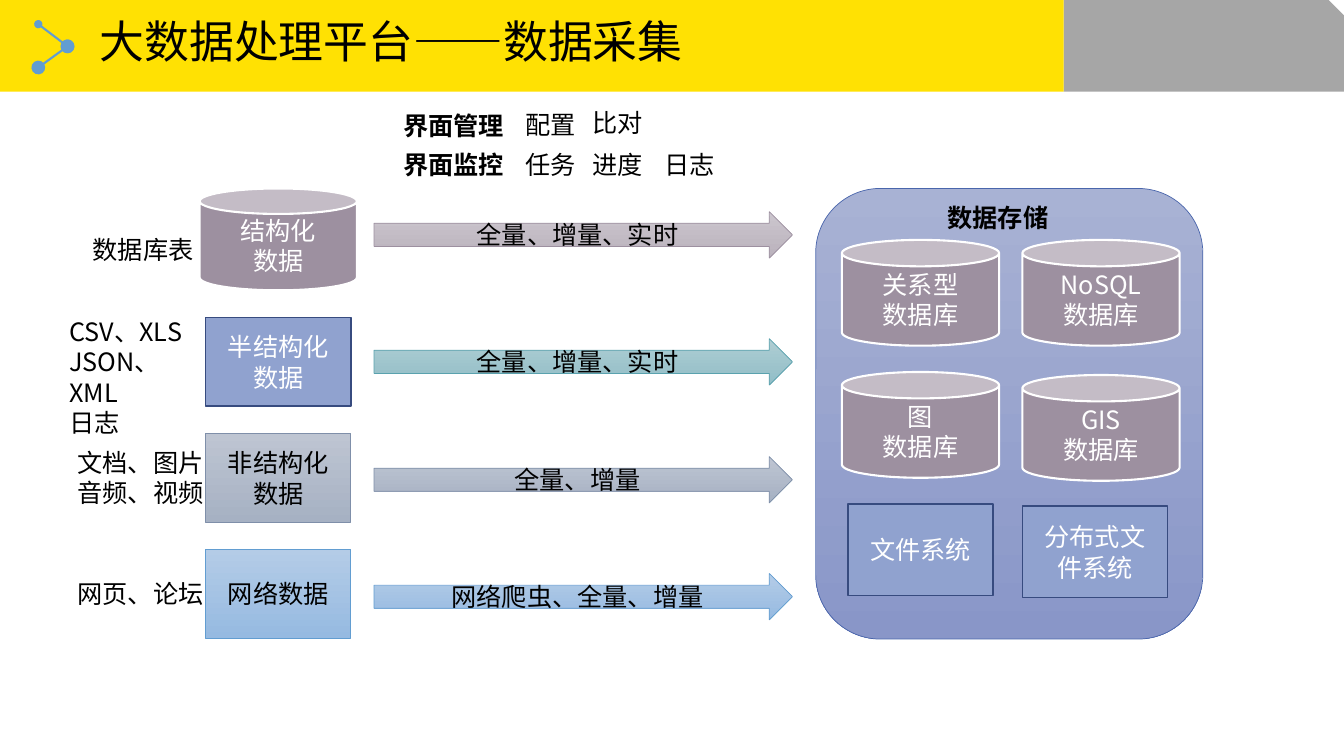
import pptx
import pptx.util
import pptx.dml.color
import pptx.enum.shapes
import pptx.enum.text
import pptx.oxml.ns
from lxml import etree

RGBColor = pptx.dml.color.RGBColor
SHAPE = pptx.enum.shapes.MSO_SHAPE
ALIGN = pptx.enum.text.PP_ALIGN
ANCHOR = pptx.enum.text.MSO_ANCHOR
Inches = pptx.util.Inches
qn = pptx.oxml.ns.qn

FONT = "Noto Sans CJK SC"
BLACK = RGBColor(0x00, 0x00, 0x00)
WHITE = RGBColor(0xFF, 0xFF, 0xFF)
YELLOW = RGBColor(0xFF, 0xE1, 0x03)
GRAY = RGBColor(0xA6, 0xA6, 0xA6)
BLUE = RGBColor(0x62, 0x9D, 0xD1)
NAVY = RGBColor(0x37, 0x4B, 0x7F)
PERIWINKLE = RGBColor(0x90, 0xA2, 0xCF)
MAUVE = RGBColor(0x9D, 0x90, 0xA0)

# Each style: fill colours (two make a gradient), line colour, line width
CAN_STYLE = ([MAUVE], WHITE, 1.5)
BOX_STYLE = ([PERIWINKLE], NAVY, 1)
MAUVE_STYLE = ([RGBColor(0xCC, 0xC6, 0xCE), RGBColor(0xBA, 0xB2, 0xBC)], MAUVE, 0.5)
TEAL_STYLE = ([RGBColor(0xAF, 0xCD, 0xD3), RGBColor(0x91, 0xBE, 0xC7)],
              RGBColor(0x5A, 0xA2, 0xAE), 0.5)
SLATE_STYLE = ([RGBColor(0xBE, 0xC5, 0xD2), RGBColor(0xA6, 0xB1, 0xC3)],
               RGBColor(0x7F, 0x8F, 0xA9), 0.5)
SKY_STYLE = ([RGBColor(0xB4, 0xCC, 0xE7), RGBColor(0x96, 0xBA, 0xE1)], BLUE, 0.5)
STORE_STYLE = ([RGBColor(0xA8, 0xB2, 0xD4), RGBColor(0x89, 0x96, 0xC8)],
               RGBColor(0x4A, 0x66, 0xAC), 0.5)

deck = pptx.Presentation()
deck.slide_width = Inches(13.33)
deck.slide_height = Inches(7.5)
page = deck.slides.add_slide(deck.slide_layouts[6])


def write(text, at, box=None, size=18, color=BLACK, bold=False, wrap=True,
          align=ALIGN.LEFT, anchor=ANCHOR.TOP, spacing=None):
    """Write one paragraph per line into box, or into a new text box placed at."""
    if box is None:
        box = page.shapes.add_textbox(*map(Inches, at))
    frame = box.text_frame
    frame.word_wrap = wrap
    frame.vertical_anchor = anchor
    for index, line in enumerate(text.split("\n")):
        para = frame.add_paragraph() if index else frame.paragraphs[0]
        para.alignment = align
        para.line_spacing = spacing
        span = para.add_run()
        span.text = line
        span.font.name = FONT
        span.font.size = pptx.util.Pt(size)
        span.font.bold = bold
        span.font.color.rgb = color
        etree.SubElement(span.font._element, qn("a:ea"), typeface=FONT)


def draw(kind, at, style, text="", color=BLACK):
    """Draw a preset shape with centred text."""
    fills, line, width = style
    shape = page.shapes.add_shape(kind, *map(Inches, at))
    shape.shadow.inherit = False
    if len(fills) == 1:
        shape.fill.solid()
        shape.fill.fore_color.rgb = fills[0]
    else:
        shape.fill.gradient()
        shape.fill.gradient_angle = 270
        for stop, shade in zip(shape.fill.gradient_stops, fills):
            stop.color.rgb = shade
    if line is None:
        shape.line.fill.background()
    else:
        shape.line.color.rgb = line
        shape.line.width = pptx.util.Pt(width)
    if text:
        write(text, at, box=shape, color=color, align=ALIGN.CENTER, anchor=ANCHOR.MIDDLE)


# Header
HEADER = 0.91
SPLIT = 10.55
draw(SHAPE.SNIP_1_RECTANGLE, (SPLIT, 0, 13.33 - SPLIT, HEADER), ([GRAY], None, 0))
draw(SHAPE.RECTANGLE, (0, 0, SPLIT, HEADER), ([YELLOW], None, 0))
write("大数据处理平台——数据采集", (0.89, 0.13, 10.12, 0.62), size=32,
      anchor=ANCHOR.MIDDLE, spacing=0.9)

nodes = [(0.38, 0.24, "med"), (0.67, 0.46, "lg"), (0.38, 0.67, "lg")]
for (x1, y1, size1), (x2, y2, size2) in zip(nodes, nodes[1:]):
    link = page.shapes.add_connector(pptx.enum.shapes.MSO_CONNECTOR.STRAIGHT,
                                     *map(Inches, (x1, y1, x2, y2)))
    link.line.color.rgb = BLUE
    link.line.width = pptx.util.Pt(1.5)
    outline = link.line._get_or_add_ln()
    for end, size in (("a:headEnd", size1), ("a:tailEnd", size2)):
        etree.SubElement(outline, qn(end), type="oval", w=size, len=size)
    etree.SubElement(link._element.spPr, qn("a:effectLst"))

# Management and monitoring labels
MENU_X = (3.9, 5.11, 5.78, 6.49)
menu = [((1.05, 1.04, 1.02), ("界面管理", "配置", "比对")),
        ((1.43,) * 4, ("界面监控", "任务", "进度", "日志"))]
for tops, words in menu:
    for x, y, word in zip(MENU_X, tops, words):
        first = x == MENU_X[0]
        write(word, (x, y, 1.21 if first else 0.71, 0.4), bold=first, wrap=False)

# Sources on the left, each with its label and collection arrow
CAN_AT = (1.98, 1.87, 1.56, 1.01)
SOURCE_X, SOURCE_Y, SOURCE_STEP = 2.04, 3.15, 1.15
box_ats = [(SOURCE_X, SOURCE_Y + SOURCE_STEP * row, 1.44, 0.88) for row in range(3)]
sources = [
    (SHAPE.CAN, CAN_AT, CAN_STYLE, "结构化\n数据", WHITE),
    (SHAPE.RECTANGLE, box_ats[0], BOX_STYLE, "半结构化数据", WHITE),
    (SHAPE.RECTANGLE, box_ats[1], SLATE_STYLE, "非结构化\n数据", BLACK),
    (SHAPE.RECTANGLE, box_ats[2], SKY_STYLE, "网络数据", BLACK),
]
for source in sources:
    draw(*source)

labels = [
    ("数据库表", (0.82, 2.28, 1.21, 0.4), False),
    ("CSV、XLS\nJSON、XML\n日志", (0.59, 3.09, 1.53, 1.01), True),
    ("文档、图片\n音频、视频", (0.67, 4.39, 1.46, 0.71), False),
    ("网页、论坛", (0.67, 5.69, 1.46, 0.4), False),
]
for text, at, wrap in labels:
    write(text, at, wrap=wrap)

arrows = [
    (2.1, MAUVE_STYLE, "全量、增量、实时"),
    (3.36, TEAL_STYLE, "全量、增量、实时"),
    (4.53, SLATE_STYLE, "全量、增量"),
    (5.69, SKY_STYLE, "网络爬虫、全量、增量"),
]
for y, style, text in arrows:
    draw(SHAPE.RIGHT_ARROW, (3.71, y, 4.15, 0.46), style, text)

# Storage on the right
LEFT, RIGHT = 8.35, 10.14
draw(SHAPE.ROUNDED_RECTANGLE, (8.09, 1.87, 3.84, 4.47), STORE_STYLE)
write("数据存储", (9.3, 1.96, 1.46, 0.4), bold=True)
databases = [(LEFT, 2.38, "关系型"), (RIGHT, 2.38, "NoSQL"),
             (LEFT, 3.69, "图"), (RIGHT, 3.72, "GIS")]
for x, y, name in databases:
    draw(SHAPE.CAN, (x, y, 1.56, 1.05), CAN_STYLE, name + "\n数据库", WHITE)
for x, y, name in ((8.41, 5, "文件系统"), (RIGHT, 5.02, "分布式文件系统")):
    draw(SHAPE.RECTANGLE, (x, y, 1.44, 0.91), BOX_STYLE, name, WHITE)

deck.save("out.pptx")
